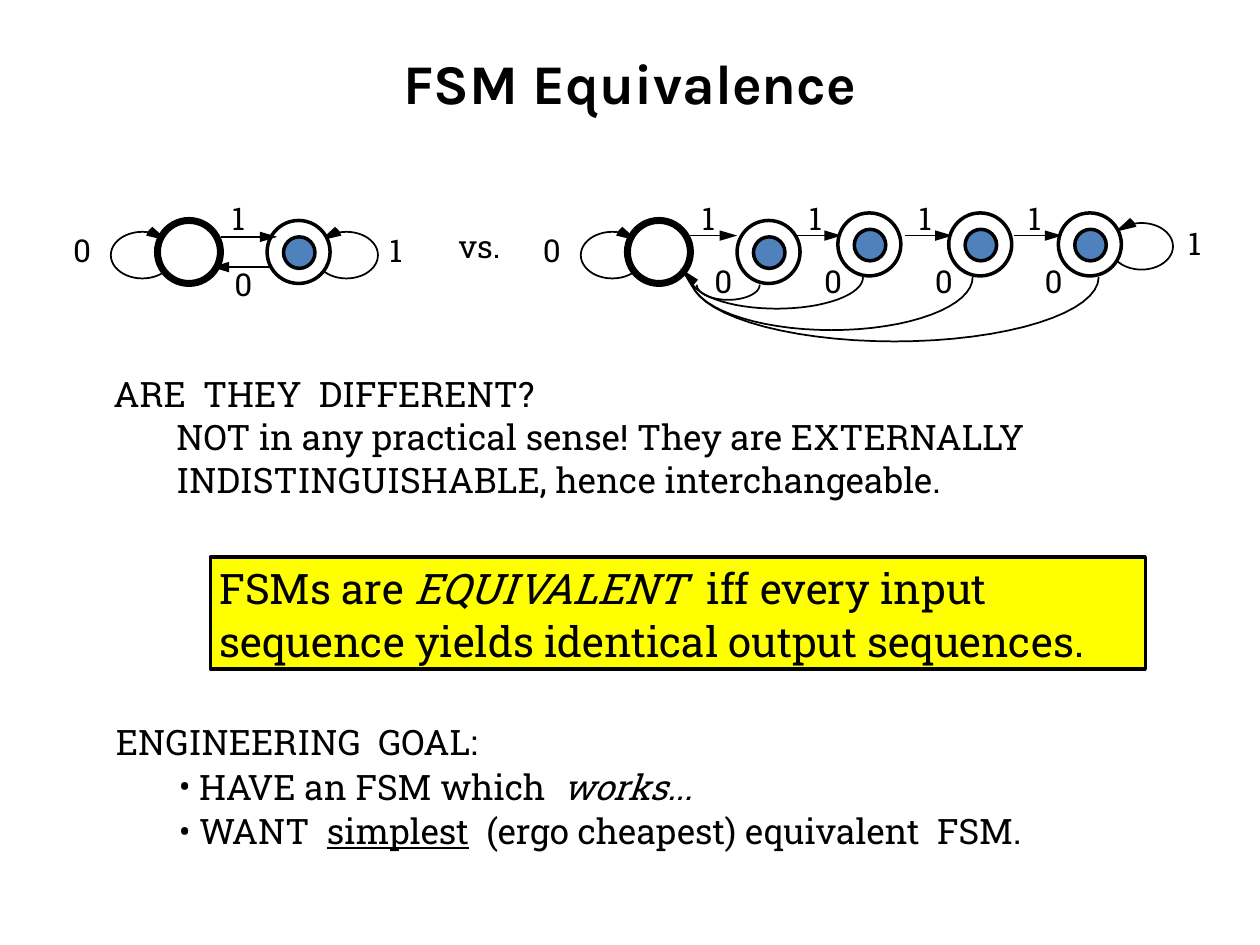
"""Build the FSM Equivalence slide with two state diagrams and their explanation."""
from math import cos, pi, sin

from lxml.etree import SubElement
from pptx import Presentation
from pptx.dml.color import RGBColor
from pptx.enum.shapes import MSO_CONNECTOR, MSO_SHAPE
from pptx.enum.text import MSO_ANCHOR, PP_ALIGN
from pptx.oxml.ns import qn
from pptx.util import Inches, Pt

COLORS = {"black": "000000", "white": "FFFFFF", "blue": "4F81BD", "yellow": "FFFF00"}


def paint(sp, fill=None, width=None):
    sp.shadow.inherit = False
    if fill:
        sp.fill.solid()
        sp.fill.fore_color.rgb = RGBColor.from_string(COLORS[fill])
    else:
        sp.fill.background()
    if width:
        sp.line.color.rgb = RGBColor.from_string(COLORS["black"])
        sp.line.width = Pt(width)
    else:
        sp.line.fill.background()


def write(sp, paragraphs, size, font="Roboto Slab", inset=(0.07, 0.03), wrap=True, spacing=1.0):
    tf = sp.text_frame
    tf.word_wrap = wrap
    tf.vertical_anchor = MSO_ANCHOR.TOP
    tf.margin_left = tf.margin_right = Inches(inset[0])
    tf.margin_top = tf.margin_bottom = Inches(inset[1])
    for i, runs in enumerate(paragraphs):
        p = tf.paragraphs[0] if i == 0 else tf.add_paragraph()
        p.alignment = PP_ALIGN.LEFT
        p.line_spacing = spacing
        for text, style in runs:
            r = p.add_run()
            r.text = text
            r.font.name = font
            r.font.size = Pt(size)
            r.font.color.rgb = RGBColor.from_string(COLORS["black"])
            r.font.italic = style == "italic"
            r.font.underline = style == "underline"
    return tf


prs = Presentation()
prs.slide_width, prs.slide_height = Inches(10), Inches(7.5)
s = prs.slides.add_slide(prs.slide_layouts[6])

self_loops = [(8.81, 1.77, -1), (2.5, 1.84, -1), (0.88, 1.84, 1), (4.61, 1.84, 1)]
for x, y, side in self_loops:
    sp = s.shapes.add_shape(MSO_SHAPE.OVAL, Inches(x), Inches(y), Inches(0.5), Inches(0.37))
    paint(sp, "white", 1)
    tip_x, tip_y = x + (0.45 if side == 1 else 0.04), y + 0.07
    head = [(0.17, 0.04), (0.15, 0.08), (0.12, 0.11)]
    fb = s.shapes.build_freeform(Inches(tip_x), Inches(tip_y))
    fb.add_line_segments([(Inches(tip_x - side * dx), Inches(tip_y - dy)) for dx, dy in head])
    paint(fb.convert_to_shape(), "black")

start_states = [(1.25, 1.75), (4.98, 1.75)]
accept_states = [(2.12, 1.75), (5.85, 1.75), (6.65, 1.69), (7.53, 1.69), (8.4, 1.69)]
for x, y in start_states + accept_states:
    sp = s.shapes.add_shape(MSO_SHAPE.OVAL, Inches(x), Inches(y), Inches(0.5), Inches(0.5))
    paint(sp, "white", 4 if (x, y) in start_states else 2)
for x, y in accept_states:
    sp = s.shapes.add_shape(
        MSO_SHAPE.OVAL, Inches(x + 0.13), Inches(y + 0.13), Inches(0.25), Inches(0.25))
    paint(sp, "blue", 2)

transitions = [(1.75, 2.2, 1.88), (2.14, 1.68, 2.12), (5.48, 5.85, 1.87),
               (6.31, 6.68, 1.87), (7.18, 7.56, 1.87), (8.05, 8.43, 1.87)]
for x1, x2, y in transitions:
    c = s.shapes.add_connector(
        MSO_CONNECTOR.STRAIGHT, Inches(x1), Inches(y), Inches(x2), Inches(y))
    c.line.color.rgb = RGBColor.from_string(COLORS["black"])
    c.line.width = Pt(1)
    ln = c.line._get_or_add_ln()
    SubElement(ln, qn("a:tailEnd"), type="triangle", w="med", len="lg")
    SubElement(c._element.spPr, qn("a:effectLst"))

return_arcs = [(5.53, 6.03, 2.26, 0.12), (5.48, 6.85, 2.2, 0.25),
               (5.48, 7.72, 2.2, 0.42), (5.48, 8.72, 2.2, 0.51)]
steps = 32
for x1, x2, y, depth in return_arcs:
    mid, radius = (x1 + x2) / 2, (x2 - x1) / 2
    fb = s.shapes.build_freeform(Inches(x1), Inches(y))
    fb.add_line_segments(
        [(Inches(mid - radius * cos(pi * i / steps)), Inches(y + depth * sin(pi * i / steps)))
         for i in range(1, steps + 1)], close=False)
    paint(fb.convert_to_shape(), width=1)
fb = s.shapes.build_freeform(Inches(5.4), Inches(2.13))
fb.add_line_segments([(Inches(x), Inches(y)) for x, y in [(5.49, 2.28), (5.54, 2.22)]])
paint(fb.convert_to_shape(), "black")

labels = [("0", 0.58, 1.83), ("1", 1.84, 1.58), ("0", 1.86, 2.1), ("1", 3.09, 1.83),
          ("vs.", 3.64, 1.8), ("0", 4.31, 1.83), ("1", 9.43, 1.78)]
labels += [("1", x, 1.58) for x in (5.57, 6.42, 7.29, 8.16)]
labels += [("0", x, 2.08) for x in (5.67, 6.54, 7.42, 8.29)]
for text, x, y in labels:
    width = 0.36 if text == "vs." else 0.16
    sp = s.shapes.add_textbox(Inches(x), Inches(y), Inches(width), Inches(0.3))
    write(sp, [[(text, None)]], 18, inset=(0, 0), wrap=False)

sp = s.shapes.add_textbox(Inches(0.83), Inches(2.92), Inches(7.92), Inches(1.09))
tf = write(sp, [
    [("ARE  THEY  DIFFERENT?", None)],
    [("NOT in any practical sense! They are EXTERNALLY INDISTINGUISHABLE, "
      "hence interchangeable.", None)],
], 20, spacing=1.02)
tf.paragraphs[1]._p.get_or_add_pPr().set("marL", str(Inches(0.5)))

sp = s.shapes.add_shape(
    MSO_SHAPE.RECTANGLE, Inches(1.67), Inches(4.42), Inches(7.42), Inches(0.89))
paint(sp, "yellow", 2)
write(sp, [[("FSMs are ", None), ("EQUIVALENT  ", "italic"),
            ("iff every input sequence yields identical output sequences.", None)]],
      24, spacing=1.04)

sp = s.shapes.add_textbox(Inches(0.85), Inches(5.67), Inches(8.24), Inches(1.12))
tf = write(sp, [
    [("ENGINEERING  GOAL:", None)],
    [("HAVE an FSM which ", None), (" works...", "italic")],
    [("WANT  ", None), ("simplest", "underline"),
     ("  (ergo cheapest) equivalent  FSM.", None)],
], 20, spacing=1.06)
for p in tf.paragraphs[1:]:
    pPr = p._p.get_or_add_pPr()
    pPr.set("marL", str(Inches(0.66)))
    pPr.set("indent", str(Inches(-0.16)))
    SubElement(pPr, qn("a:buFont"), typeface="Roboto Slab")
    SubElement(pPr, qn("a:buChar"), char="•")

sp = s.shapes.add_textbox(Inches(0.5), Inches(0.3), Inches(9), Inches(0.7))
tf = write(sp, [[("FSM Equivalence", None)]], 32, font="Karla", inset=(0.1, 0.05))
tf.vertical_anchor = MSO_ANCHOR.MIDDLE
tf.paragraphs[0].alignment = PP_ALIGN.CENTER
tf.paragraphs[0].runs[0].font.bold = True

prs.save("out.pptx")
